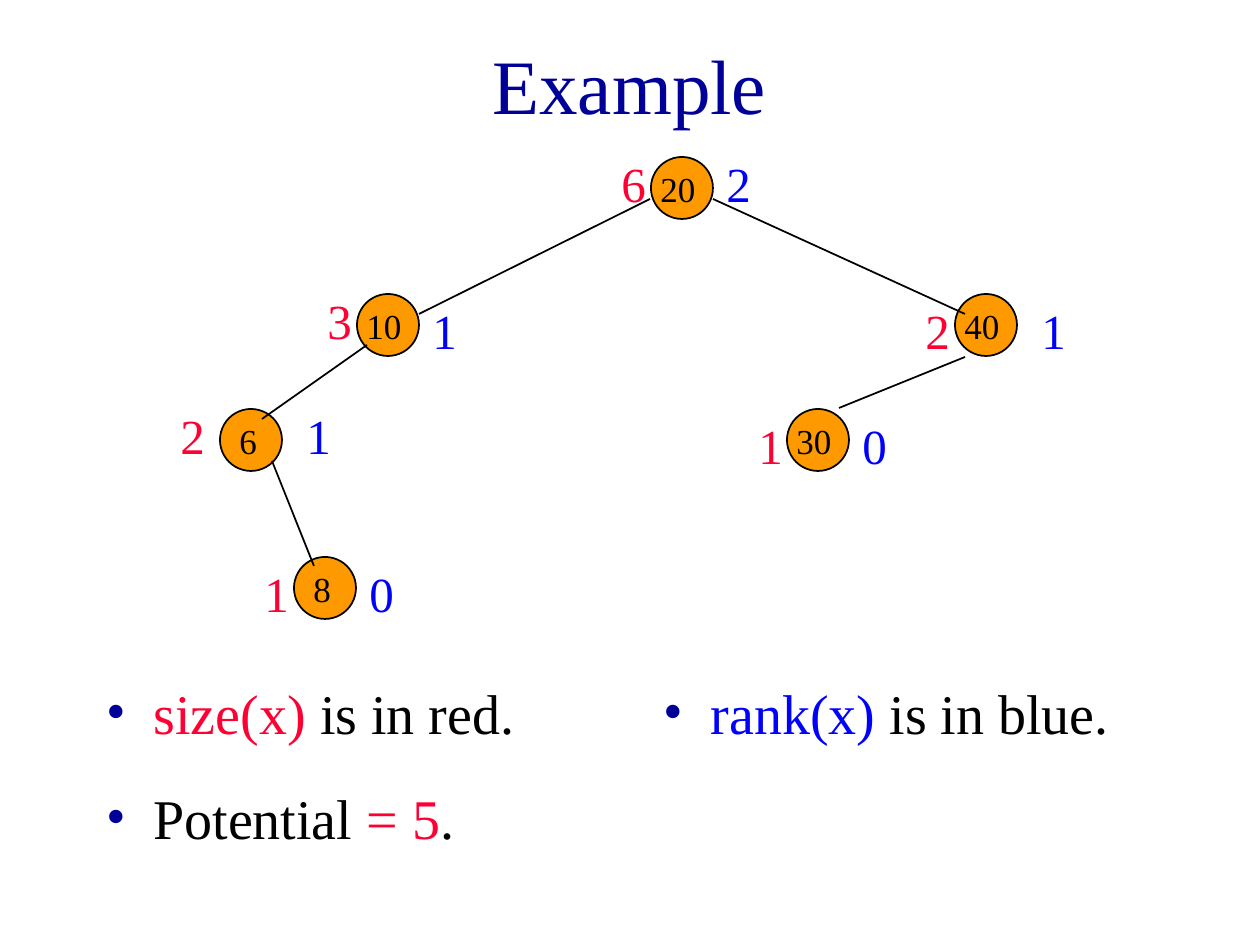
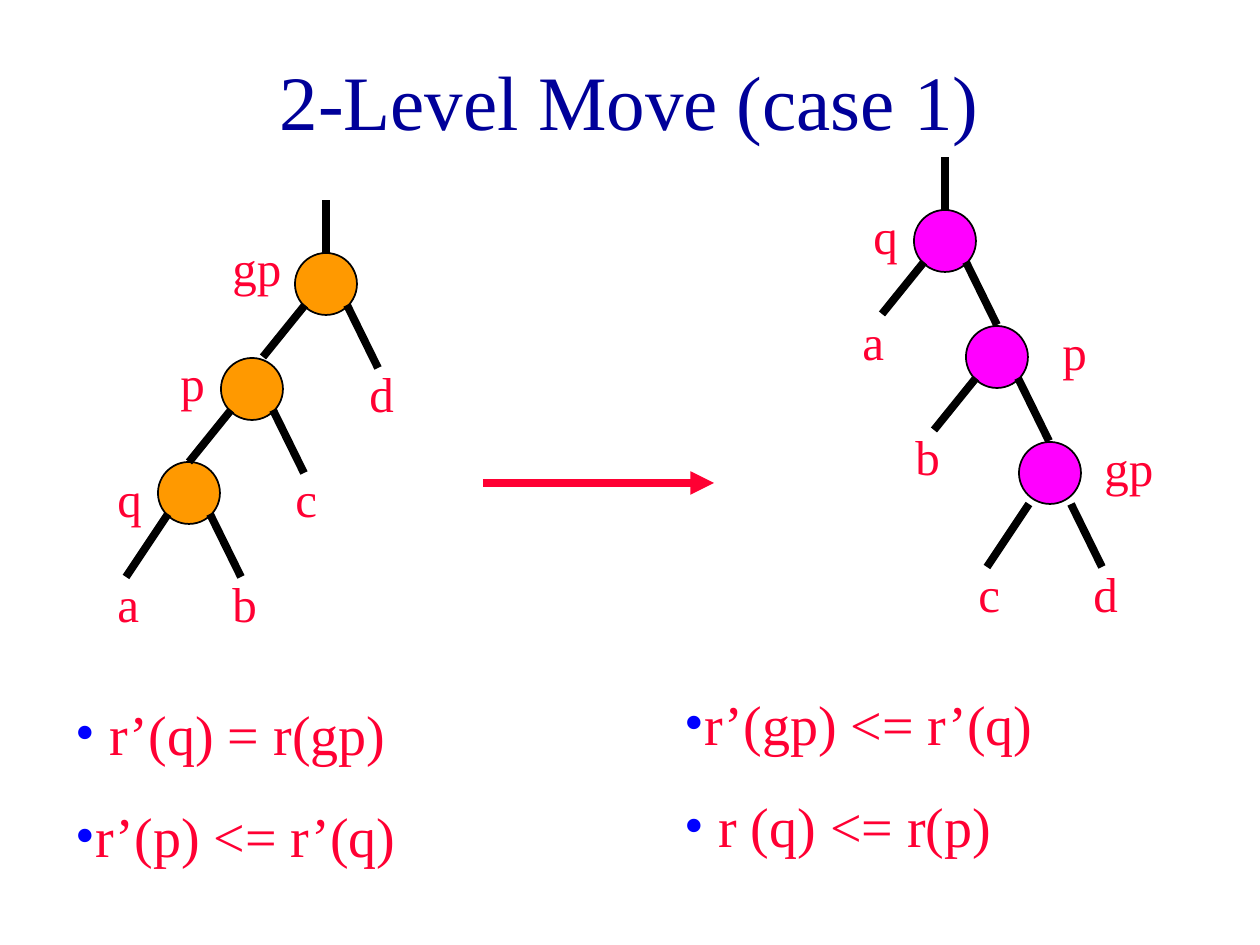
import lxml.etree
import pptx
import pptx.dml.color
import pptx.enum.shapes
import pptx.enum.text
import pptx.oxml.ns
import pptx.util

NAVY = pptx.dml.color.RGBColor(0x00, 0x00, 0x99)
RED = pptx.dml.color.RGBColor(0xFF, 0x00, 0x33)
BLUE = pptx.dml.color.RGBColor(0x00, 0x00, 0xFF)
ORANGE = pptx.dml.color.RGBColor(0xFF, 0x99, 0x00)
MAGENTA = pptx.dml.color.RGBColor(0xFF, 0x00, 0xFF)
BLACK = pptx.dml.color.RGBColor(0x00, 0x00, 0x00)

FONT = "Times New Roman"
PIXELS_PER_INCH = 126
NODE_SIZE = 62
THIN, THICK = 1, 4.5


def emu(pixels):
    return pptx.util.Emu(round(pixels * 914400 / PIXELS_PER_INCH))


def add_xml(parent, tag, **attributes):
    return lxml.etree.SubElement(parent, pptx.oxml.ns.qn(tag), attributes)


class Deck:
    def __init__(self):
        self.presentation = pptx.Presentation()
        self.presentation.slide_width = emu(1260)
        self.presentation.slide_height = emu(945)

    def start_slide(self, title, title_height):
        layout = self.presentation.slide_layouts[3]
        self.slide = self.presentation.slides.add_slide(layout)
        self.bodies = list(self.slide.placeholders)[1:]
        shape = self.slide.shapes.title
        self.place(shape, 94, 21, 1071, title_height)
        frame = self.frame(shape, pptx.enum.text.MSO_ANCHOR.MIDDLE)
        paragraph = frame.paragraphs[0]
        paragraph.alignment = pptx.enum.text.PP_ALIGN.CENTER
        self.add_run(paragraph, title, 44, NAVY)

    def place(self, shape, left, top, width, height):
        shape.left, shape.top = emu(left), emu(top)
        shape.width, shape.height = emu(width), emu(height)

    def frame(self, shape, anchor=pptx.enum.text.MSO_ANCHOR.TOP, wrap=True, grow=False):
        frame = shape.text_frame
        sizing = pptx.enum.text.MSO_AUTO_SIZE
        frame.auto_size = sizing.SHAPE_TO_FIT_TEXT if grow else sizing.NONE
        frame.word_wrap = wrap
        frame.vertical_anchor = anchor
        return frame

    def add_run(self, paragraph, text, size, color):
        run = paragraph.add_run()
        run.text = text
        run.font.name = FONT
        run.font.size = pptx.util.Pt(size)
        run.font.color.rgb = color

    def bullets(self, box, items, bullet_color, space, indent=0, grow=False):
        if self.bodies:
            shape = self.bodies.pop(0)
        else:
            shape = self.slide.shapes.add_textbox(0, 0, 0, 0)
        self.place(shape, *box)
        frame = self.frame(shape, grow=grow)
        for index, runs in enumerate(items):
            paragraph = frame.add_paragraph() if index else frame.paragraphs[0]
            paragraph.space_before = pptx.util.Pt(space)
            for text, color in runs:
                self.add_run(paragraph, text, 32, color)
            properties = paragraph._p.get_or_add_pPr()
            properties.set("marL", str(emu(indent)))
            properties.set("indent", str(-emu(indent)))
            add_xml(add_xml(properties, "a:buClr"), "a:srgbClr", val=str(bullet_color))
            add_xml(properties, "a:buFont", typeface=FONT)
            add_xml(properties, "a:buChar", char="•")

    def text(self, text, left, top, width, height, size, color, space=0, wrap=True):
        shape = self.slide.shapes.add_textbox(emu(left), emu(top), emu(width), emu(height))
        paragraph = self.frame(shape, wrap=wrap, grow=True).paragraphs[0]
        paragraph.space_before = pptx.util.Pt(space)
        self.add_run(paragraph, text, size, color)

    def label(self, text, left, top, width=84, color=RED):
        self.text(text, left, top, width, 72, 28, color, space=17.5)

    def node(self, left, top, color):
        shape = self.slide.shapes.add_shape(
            pptx.enum.shapes.MSO_SHAPE.OVAL, emu(left), emu(top), emu(NODE_SIZE), emu(NODE_SIZE))
        shape.shadow.inherit = False
        shape.fill.solid()
        shape.fill.fore_color.rgb = color
        shape.line.color.rgb = BLACK
        shape.line.width = pptx.util.Pt(THIN)

    def key(self, text, left, top):
        shift, width = (-3, 60) if len(text) == 2 else (7, 43)
        self.text(text, left + shift, top + 4, width, 54, 20, BLACK, wrap=False)

    def line(self, start_x, start_y, end_x, end_y, weight, color=BLACK, arrow=False):
        connector = self.slide.shapes.add_connector(
            pptx.enum.shapes.MSO_CONNECTOR.STRAIGHT,
            emu(start_x), emu(start_y), emu(end_x), emu(end_y))
        connector.line.color.rgb = color
        connector.line.width = pptx.util.Pt(weight)
        properties = connector._element.spPr
        if arrow:
            add_xml(properties.find(pptx.oxml.ns.qn("a:ln")), "a:tailEnd", type="triangle")
        add_xml(properties, "a:effectLst")

    def stem(self, left, top):
        middle = left + NODE_SIZE // 2
        self.line(middle, top, middle, top - 53, THICK)

    def fork(self, left, top, left_drop=52, gap=52):
        start = top + gap
        self.line(left + 10, start, left - 32, start + left_drop, THICK)
        self.line(left + 52, start, left + 83, start + 63, THICK)


deck = Deck()

deck.start_slide("Example", 126)
tree_nodes = [
    ("20", 651, 157, "6", 609, 147, "2", 714, 147),
    ("10", 357, 294, "3", 315, 284, "1", 420, 294),
    ("40", 955, 294, "2", 913, 294, "1", 1029, 294),
    ("6", 220, 409, "2", 168, 399, "1", 294, 399),
    ("30", 787, 409, "1", 746, 409, "0", 850, 409),
    ("8", 294, 557, "1", 252, 557, "0", 357, 557),
]
tree_edges = [
    (650, 199, 419, 314),
    (713, 199, 965, 314),
    (367, 345, 262, 419),
    (965, 357, 839, 408),
    (272, 461, 314, 566),
]
for key, left, top, *labels in tree_nodes:
    deck.node(left, top, ORANGE)
for edge in tree_edges:
    deck.line(*edge, THIN)
for key, left, top, size, size_x, size_y, rank, rank_x, rank_y in tree_nodes:
    deck.key(key, left, top)
    deck.label(size, size_x, size_y, 63)
    deck.label(rank, rank_x, rank_y, 63, BLUE)
legend = [
    ((94, 672, 483, 94), [("size(x)", RED), (" is in red.", BLACK)]),
    ((651, 672, 483, 116), [("rank(x)", BLUE), (" is in blue.", BLACK)]),
    ((94, 777, 483, 94), [("Potential ", BLACK), ("= 5", RED), (".", BLACK)]),
]
for box, runs in legend:
    deck.bullets(box, [runs], NAVY, space=8, indent=47)

deck.start_slide("2-Level Move (case 1)", 157)
before = [(295, 253), (221, 358), (158, 462)]
after = [(914, 210), (966, 326), (1019, 442)]
for nodes, color, last_gap in [(before, ORANGE, 52), (after, MAGENTA, 62)]:
    for left, top in nodes:
        deck.node(left, top, color)
    deck.stem(*nodes[0])
    for left, top in nodes[:-1]:
        deck.fork(left, top)
    deck.fork(*nodes[-1], left_drop=63, gap=last_gap)
deck.line(483, 483, 714, 483, THICK, RED, arrow=True)
move_labels = [
    ("gp", 220, 231), ("p", 168, 346, 42), ("q", 105, 462, 42),
    ("a", 105, 567), ("b", 220, 567), ("c", 283, 462), ("d", 357, 357),
    ("q", 861, 199, 42), ("p", 1050, 315, 42), ("gp", 1092, 431, 105),
    ("a", 850, 305), ("b", 903, 420, 94), ("c", 966, 557), ("d", 1081, 557),
]
for label in move_labels:
    deck.label(*label)
rank_rules = [
    ((63, 693, 483, 183), [" r’(q) = r(gp)", "r’(p) <= r’(q)"]),
    ((672, 683, 483, 183), ["r’(gp) <= r’(q)", " r (q) <= r(p)"]),
]
for box, rules in rank_rules:
    deck.bullets(box, [[(rule, RED)] for rule in rules], BLUE, space=20, grow=True)

deck.presentation.save("out.pptx")
